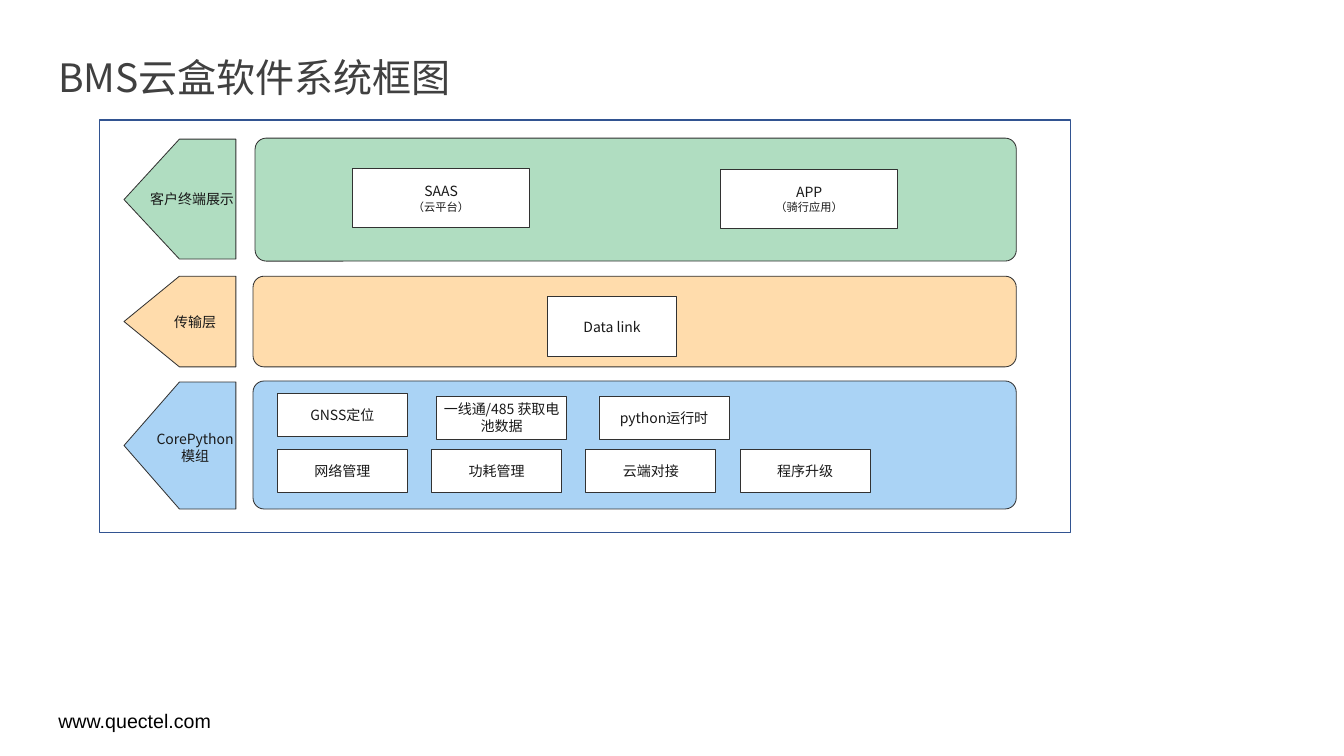
from dataclasses import dataclass

from lxml import etree
from pptx import Presentation
from pptx.dml.color import RGBColor
from pptx.enum.shapes import MSO_SHAPE
from pptx.enum.text import MSO_ANCHOR, PP_ALIGN
from pptx.oxml.ns import qn
from pptx.util import Pt

RECT, ROUNDED = MSO_SHAPE.RECTANGLE, MSO_SHAPE.ROUNDED_RECTANGLE
MIDDLE = MSO_ANCHOR.MIDDLE
LEFT, CENTER = PP_ALIGN.LEFT, PP_ALIGN.CENTER
PX = 9144


@dataclass(frozen=True)
class Theme:
    font: str = "Noto Sans CJK SC"
    footer_font: str = "Arial"
    title: str = "404040"
    footer: str = "000000"
    text: str = "191919"
    outline: str = "323232"
    frame: str = "325491"
    white: str = "FFFFFF"
    green: str = "B0DDC1"
    orange: str = "FFDCAC"
    blue: str = "AAD3F5"
    title_size: float = 27.9
    footer_size: float = 14
    body_size: float = 10
    note_size: float = 8
    thin: float = 0.6
    frame_width: float = 1


T = Theme()

TITLE = ("BMS云盒软件系统框图", (48, 55, 1210, 49))
FOOTER = ("www.quectel.com", (48, 701, 1210, 31))
FRAME = (99, 119, 963, 409)
ARROW_LEFT, ARROW_SHOULDER, ARROW_RIGHT = 123, 178, 234
BAND_RIGHT, BAND_RADIUS = 1008, 11
LABEL_WIDTH = 135

LAYERS = [
    {"label": ["客户终端展示"], "label_at": (123, 152, 90), "color": T.green,
     "arrow": (138, 119), "band": (253, 137, 122)},
    {"label": ["传输层"], "label_at": (126, 274, 90), "color": T.orange,
     "arrow": (274, 90), "band": (251, 274, 90)},
    {"label": ["CorePython", "模组"], "label_at": (126, 381, 126), "color": T.blue,
     "arrow": (379, 126), "band": (251, 378, 127)},
]

BOXES = [
    (["SAAS", "（云平台）"], (350, 167, 175, 59)),
    (["APP", "（骑行应用）"], (715, 168, 175, 59)),
    (["Data link"], (543, 294, 128, 60)),
    (["GNSS定位"], (275, 390, 129, 43)),
    (["一线通/485 获取电池数据"], (433, 393, 129, 43)),
    (["python运行时"], (594, 393, 129, 43)),
]
SERVICES = ["网络管理", "功耗管理", "云端对接", "程序升级"]
SERVICE_LEFT, SERVICE_TOP, SERVICE_STEP = 275, 446, 153
SERVICE_SIZE = (129, 43)


def rgb(value):
    return RGBColor.from_string(value)


def emu(box):
    return [v * PX for v in box]


def paint(sp, fill, line=T.outline, width=T.thin):
    sp.shadow.inherit = False
    sp.fill.solid()
    sp.fill.fore_color.rgb = rgb(fill)
    sp.line.color.rgb = rgb(line)
    sp.line.width = Pt(width)


def write(sp, lines, align=CENTER, inset=(4, 4), spacing=None):
    tf = sp.text_frame
    tf.word_wrap = True
    tf.vertical_anchor = MIDDLE
    tf.margin_left = tf.margin_right = inset[0] * PX
    tf.margin_top = tf.margin_bottom = inset[1] * PX
    for i, (text, size, font, color) in enumerate(lines):
        p = tf.paragraphs[0] if i == 0 else tf.add_paragraph()
        p.alignment = align
        if spacing:
            p.line_spacing = spacing
        r = p.add_run()
        r.text = text
        r.font.size = Pt(size)
        r.font.name = font
        r.font.color.rgb = rgb(color)
        etree.SubElement(r.font._element, qn("a:ea")).set("typeface", font)


def body(lines):
    return [(s, T.note_size if s.startswith("（") else T.body_size, T.font, T.text)
            for s in lines]


def add_heading(shapes, content, size, font, color):
    text, box = content
    sp = shapes.add_textbox(*emu(box))
    write(sp, [(text, size, font, color)], LEFT, (10, 0), 0.9)


def add_box(shapes, lines, box):
    sp = shapes.add_shape(RECT, *emu(box))
    paint(sp, T.white)
    write(sp, body(lines))


def add_layer(shapes, layer):
    left, top, height = layer["band"]
    band = shapes.add_shape(ROUNDED, *emu((left, top, BAND_RIGHT - left, height)))
    band.adjustments[0] = BAND_RADIUS / height
    paint(band, layer["color"])

    top, height = layer["arrow"]
    bottom = top + height
    fb = shapes.build_freeform(ARROW_SHOULDER, bottom, scale=PX)
    fb.add_line_segments([
        (ARROW_RIGHT, bottom), (ARROW_RIGHT, top),
        (ARROW_SHOULDER, top), (ARROW_LEFT, top + height / 2),
    ], close=True)
    paint(fb.convert_to_shape(), layer["color"])

    left, top, height = layer["label_at"]
    label = shapes.add_textbox(*emu((left, top, LABEL_WIDTH, height)))
    write(label, body(layer["label"]))


def main():
    prs = Presentation()
    prs.slide_width, prs.slide_height = 1333 * PX, 750 * PX
    s = prs.slides.add_slide(prs.slide_layouts[6])
    shapes = s.shapes
    add_heading(shapes, FOOTER, T.footer_size, T.footer_font, T.footer)
    add_heading(shapes, TITLE, T.title_size, T.font, T.title)
    frame = shapes.add_shape(RECT, *emu(FRAME))
    paint(frame, T.white, T.frame, T.frame_width)
    for layer in LAYERS:
        add_layer(shapes, layer)
    for lines, box in BOXES:
        add_box(shapes, lines, box)
    for i, name in enumerate(SERVICES):
        add_box(shapes, [name],
                (SERVICE_LEFT + i * SERVICE_STEP, SERVICE_TOP, *SERVICE_SIZE))
    prs.save("out.pptx")


if __name__ == "__main__":
    main()
